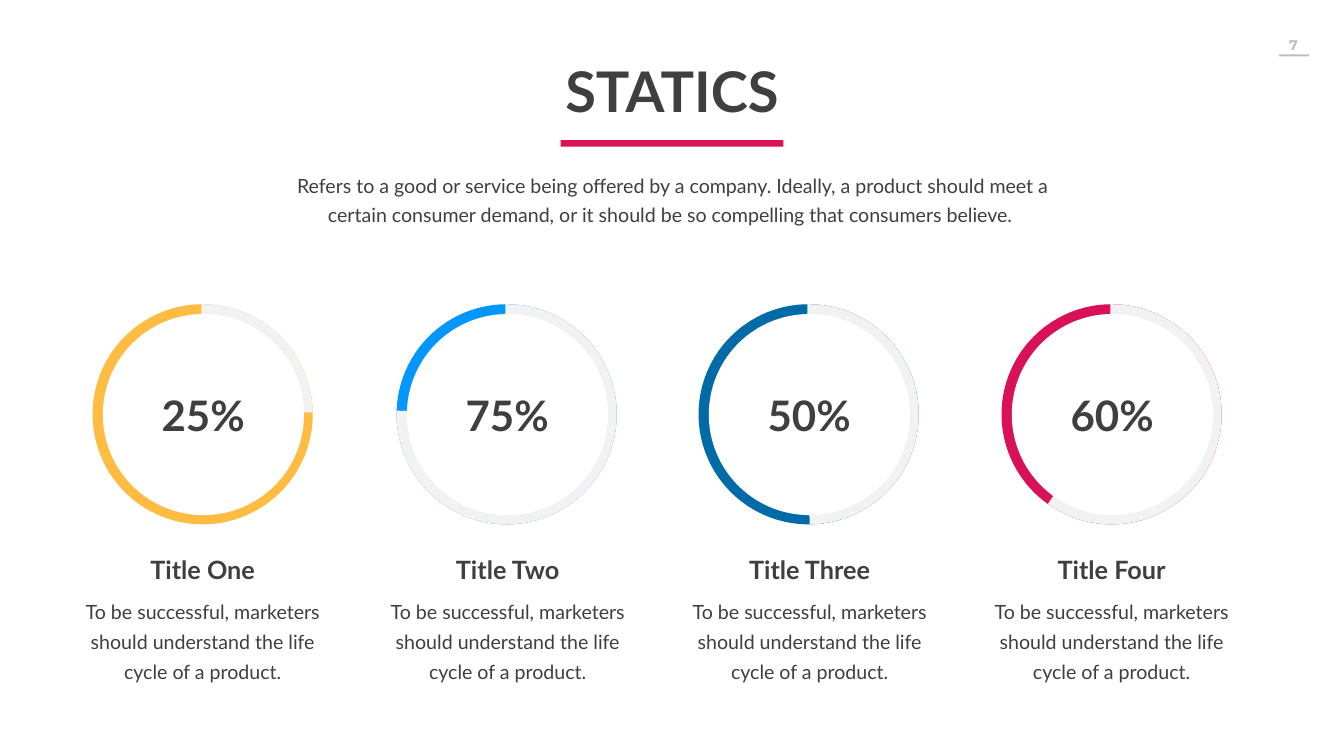
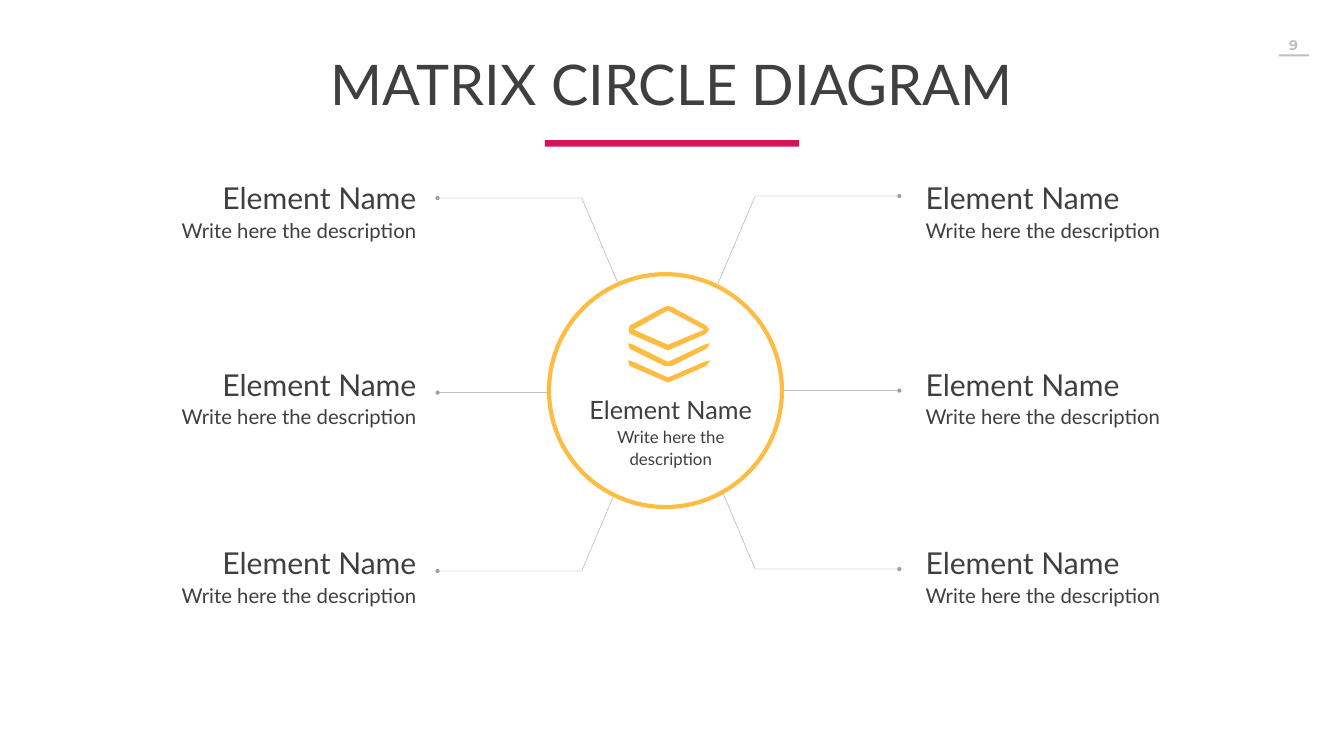
from lxml.etree import SubElement
from pptx import Presentation
from pptx.dml.color import RGBColor
from pptx.enum.shapes import MSO_CONNECTOR, MSO_SHAPE
from pptx.enum.text import MSO_AUTO_SIZE, PP_ALIGN as AL
from pptx.oxml.ns import qn
from pptx.util import Pt

PX = 9144  # 100 px to the inch
W, H = 2666, 1500
C = {
    "white": "FFFFFF", "ink": "3F3F3F", "grey": "BFBFBF", "track": "F2F2F2",
    "amber": "FFBC42", "sky": "0496FF", "navy": "006BA6", "pink": "D81159",
}
FONT = "Lato"


def rgb(name):
    return RGBColor.from_string(C[name])


def emu(*lengths):
    return [v * PX for v in lengths]


def text(slide, box, paras, align=AL.CENTER, bold=False, spacing=None,
         margins=(10, 5), wrap=True, font=FONT, color="ink"):
    """Text box holding (text, point size) paragraphs."""
    tf = slide.shapes.add_textbox(*emu(*box)).text_frame
    tf.word_wrap = wrap
    tf.auto_size = MSO_AUTO_SIZE.SHAPE_TO_FIT_TEXT
    tf.margin_left = tf.margin_right = margins[0] * PX
    tf.margin_top = tf.margin_bottom = margins[1] * PX
    for i, (words, size) in enumerate(paras):
        p = tf.add_paragraph() if i else tf.paragraphs[0]
        p.text = words
        p.alignment = align
        if spacing:
            p.line_spacing = spacing
        p.font.name, p.font.size, p.font.bold = font, Pt(size), bold
        p.font.color.rgb = rgb(color)


def shape(slide, kind, box, fill, line=None, width=0):
    sp = slide.shapes.add_shape(kind, *emu(*box))
    sp.shadow.inherit = False
    sp.fill.solid()
    sp.fill.fore_color.rgb = rgb(fill)
    if line:
        sp.line.color.rgb = rgb(line)
        sp.line.width = Pt(width)
    else:
        sp.line.fill.background()
    return sp


def freeform(slide, contours, close):
    start = contours[0][0]
    fb = slide.shapes.build_freeform(*start, scale=PX)
    for points in contours:
        if points[0] != start:
            fb.move_to(*points[0])
        fb.add_line_segments(points[1:], close=close)
    sp = fb.convert_to_shape()
    sp.shadow.inherit = False
    return sp


# Shared frame: page number, title and its underline
def frame(prs, number, title, title_box, rule_w, bold=False, spacing=None):
    slide = prs.slides.add_slide(prs.slide_layouts[6])
    text(slide, (2519, 62, 94, 54), [(number, 20)], bold=True, margins=(20, 10),
         wrap=False, font="Montserrat", color="grey")
    shape(slide, MSO_SHAPE.RECTANGLE, (2537, 108, 60, 4), "grey")
    shape(slide, MSO_SHAPE.RECTANGLE, ((W - rule_w) // 2, 278, rule_w, 13), "pink")
    text(slide, title_box, [(title, 80)], bold=bold, spacing=spacing)
    return slide


# Progress ring with its percentage
def ring(slide, cx, top, value, color, end_deg):
    size = 402
    left = cx - size // 2
    box = (left, top, size, size)
    shape(slide, MSO_SHAPE.OVAL, box, "white", color, 25)
    arc = shape(slide, MSO_SHAPE.ARC, box, "white", "track", 25)
    for i, deg in enumerate((269.26, end_deg)):
        arc.adjustments[i] = deg * 0.6  # 60000ths of a degree over 100000
    shape(slide, MSO_SHAPE.OVAL, (left + 3, top + 2, size - 3, size - 3), "white")
    text(slide, (cx - 93, top + 146, 188, 111), [(value, 60)], bold=True, wrap=False)


# Heading and description under a ring
def caption(slide, cx, top, heading):
    text(slide, (cx - 231, top, 462, 71), [(heading, 36)], bold=True)
    text(slide, (cx - 244, top + 78, 488, 191),
         [("To be successful, marketers should understand the life cycle of a product.", 28)],
         spacing=Pt(43))


def statics_slide(prs):
    slide = frame(prs, "7", "STATICS", (999, 108, 668, 145), 442, bold=True)
    text(slide, (570, 331, 1528, 119),
         [("Refers to a good or service being offered by a company. Ideally, a product "
           "should meet a certain consumer demand, or it should be so compelling that "
           "consumers believe. ", 28)], spacing=Pt(40.8))
    columns = [  # ring centre, caption centre, value, colour, end of track, heading
        (402, 402, "25%", "amber", 359, "Title One"),
        (1005, 1007, "75%", "sky", 181.94, "Title Two"),
        (1604, 1606, "50%", "navy", 89.52, "Title Three"),
        (2205, 2205, "60%", "pink", 125.5, "Title Four"),
    ]
    for ring_x, caption_x, value, color, end_deg, heading in columns:
        ring(slide, ring_x, 621, value, color, end_deg)
        caption(slide, caption_x, 1094, heading)


# Half-transparent thin line ending in a dot
def dotted_end(sp):
    sp.line.color.rgb = rgb("ink")
    sp.line.width = Pt(0.5)
    ln = sp.element.find(".//" + qn("a:ln"))
    SubElement(ln.find(".//" + qn("a:srgbClr")), qn("a:alpha"), val="50000")
    SubElement(ln, qn("a:tailEnd"), type="oval")


# Three lines from the hub to one side (-1 left, 1 right)
def branches(slide, side, cx, cy):
    inner, elbow, dot = (cx + side * d for d in (25, 172, 458))
    for start, end in ((-40, -386), (7, 354)):
        sp = freeform(slide, [[(inner, cy + start), (elbow, cy + end), (dot, cy + end)]],
                      close=False)
        sp.fill.background()
        dotted_end(sp)
    line = slide.shapes.add_connector(
        MSO_CONNECTOR.STRAIGHT, *emu(cx + side * 225, cy, dot, cy))
    dotted_end(line)
    SubElement(line.element.spPr, qn("a:effectLst"))


def element_text(slide, box, sizes, align):
    words = ("Element Name", "Write here the description")
    text(slide, box, list(zip(words, sizes)), align, spacing=1.1, margins=(0, 10))


# Stacked layers icon
def layers_icon(slide, left, top):
    contours = [
        [(3, 57), (72, 87), (79, 90), (87, 87), (155, 57), (161, 49), (155, 41),
         (87, 4), (80, 2), (72, 4), (3, 41), (1, 49)],
        [(79, 11), (151, 49), (79, 79), (11, 49)],
        [(3, 87), (72, 121), (87, 121), (155, 87), (163, 76), (151, 79),
         (79, 113), (11, 79), (0, 76)],
        [(3, 121), (72, 151), (79, 154), (87, 151), (155, 121), (163, 110),
         (151, 113), (79, 144), (11, 113), (0, 110)],
    ]
    sp = freeform(slide, [[(left + x, top + y) for x, y in c] for c in contours], close=True)
    sp.fill.solid()
    sp.fill.fore_color.rgb = rgb("amber")
    sp.line.fill.background()


# Central circle with icon and label
def hub(slide, left, top):
    shape(slide, MSO_SHAPE.OVAL, (left, top, 462, 462), "white", "amber", 6)
    layers_icon(slide, left + 157, top + 61)
    element_text(slide, (left + 55, top + 222, 373, 174), (36, 24), AL.CENTER)


def matrix_slide(prs):
    slide = frame(prs, "9", "MATRIX CIRCLE DIAGRAM", (154, 108, 2358, 131), 504, spacing=0.9)
    sides = ((-1, 779, 330, AL.RIGHT), (1, 775, 1836, AL.LEFT))
    for side, mid_y, label_x, align in sides:
        branches(slide, side, 1326, mid_y)
        for label_y in (339, 709, 1064):
            element_text(slide, (label_x, label_y, 496, 153), (43, 29), align)
    hub(slide, 1089, 544)


def main():
    prs = Presentation()
    prs.slide_width, prs.slide_height = emu(W, H)
    statics_slide(prs)
    matrix_slide(prs)
    prs.save("out.pptx")


if __name__ == "__main__":
    main()
